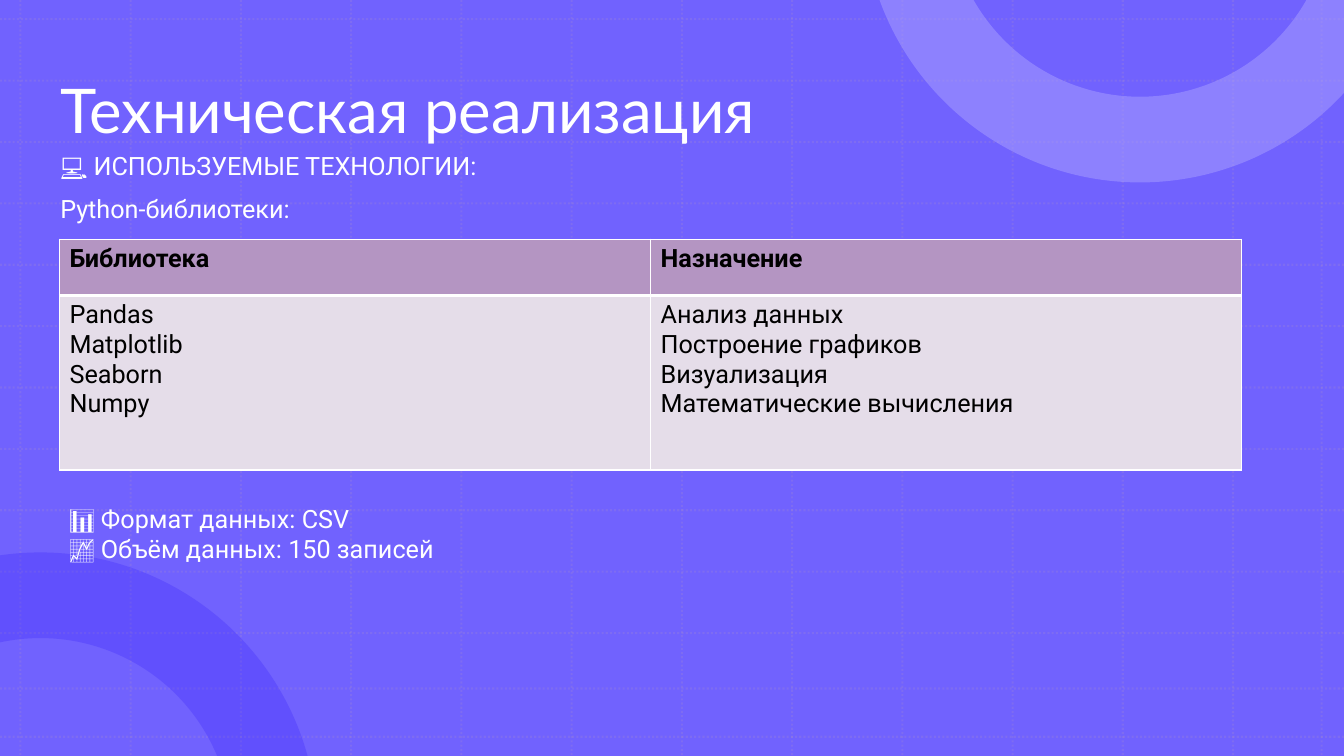
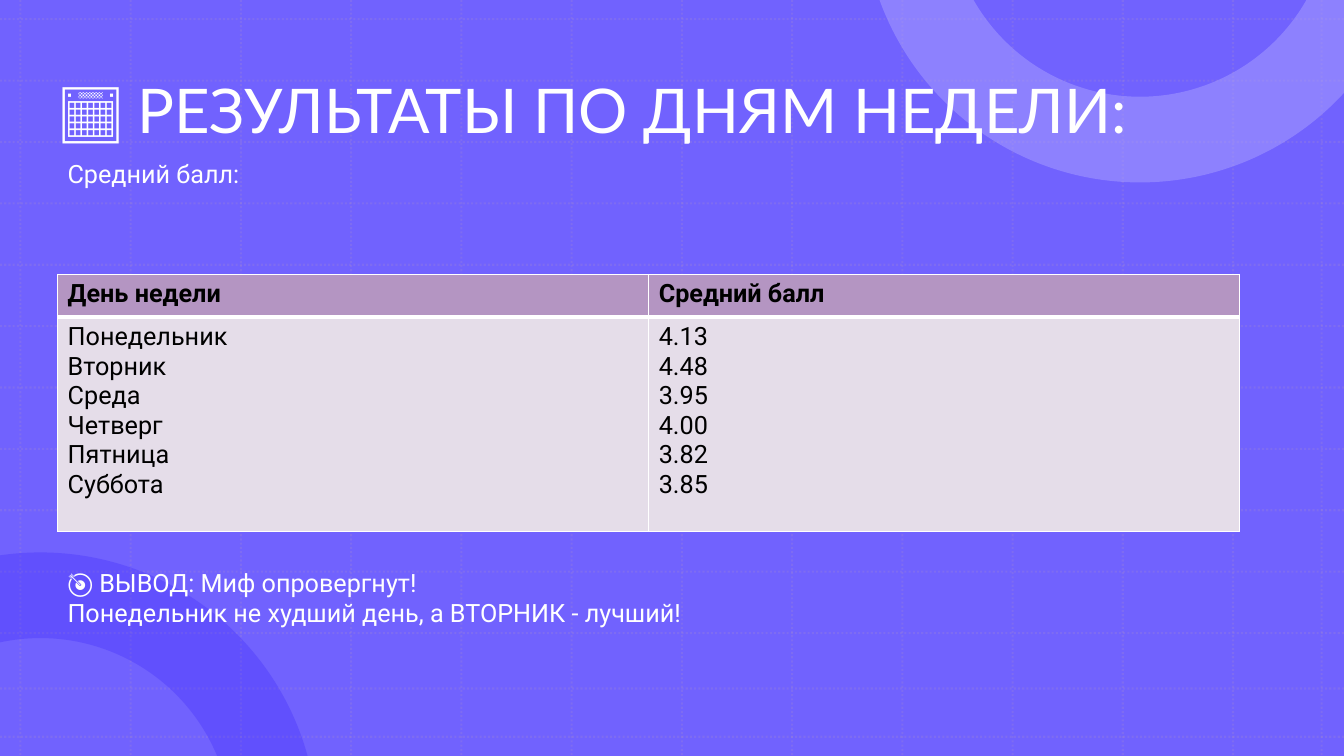
from dataclasses import dataclass
from math import cos, radians, sin, tan

from lxml import etree
from pptx import Presentation
from pptx import slide as sld
from pptx.dml.color import RGBColor
from pptx.enum import dml, shapes, text
from pptx.oxml.ns import qn
from pptx.text import text as txt
from pptx.util import Pt

COLORS = {
    "background": "7162FE",
    "grid": "B495C2",
    "ring_dark": "220BFD",
    "ring_light": "AAA1FE",
    "header": "B495C2",
    "body": "E5DDE9",
    "light": "FFFFFF",
    "dark": "000000",
}
WIDTH, HEIGHT = 960, 540
TITLE_FONT, TEXT_FONT = "Lato", "Roboto"
TEXT_SIZE = 18
OUTER_RADIUS, INNER_RADIUS = 198, 136.8
COLUMN_WIDTH = 422.2

Point = tuple[float, float]
Sweep = tuple[float, float, float]


@dataclass(frozen=True)
class Ring:
    center: Point
    outer_arc: Sweep
    inner_arc: Sweep
    corners: tuple[Point, ...]
    color: str
    opacity: int


@dataclass(frozen=True)
class Note:
    left: float
    top: float
    width: float
    lines: tuple[str, ...]
    inset: float = 3.6


@dataclass(frozen=True)
class Grid:
    left: float
    top: float
    row_heights: tuple[float, float]
    headings: tuple[str, str]
    columns: tuple[tuple[str, ...], tuple[str, ...]]


@dataclass(frozen=True)
class Page:
    title: str
    grid: Grid
    notes: tuple[Note, ...]


RINGS = (
    Ring((28.8, 592.6), (-98.4, -90, -15.4), (-22.6, -90, -102.2), (),
         "ring_dark", 20),
    Ring((814.3, -67.7), (42.6, 90, 160), (150.3, 90, 29.7), ((WIDTH, 0),),
         "ring_light", 50),
)

PAGES = (
    Page(
        "Техническая реализация",
        Grid(
            42.5, 170.8, (40.3, 124.6),
            ("Библиотека", "Назначение"),
            (
                ("Pandas", "Matplotlib", "Seaborn", "Numpy"),
                ("Анализ данных", "Построение графиков", "Визуализация",
                 "Математические вычисления"),
            ),
        ),
        (
            Note(36, 103.8, 566, ("💻 ИСПОЛЬЗУЕМЫЕ ТЕХНОЛОГИИ:",)),
            Note(36, 134.3, 482, ("Python-библиотеки:",)),
            Note(42.5, 355.7, 482,
                 ("📊 Формат данных: CSV", "📈 Объём данных: 150 записей")),
        ),
    ),
    Page(
        "📅 РЕЗУЛЬТАТЫ ПО ДНЯМ НЕДЕЛИ:",
        Grid(
            41.2, 196, (30.6, 153),
            ("День недели", "Средний балл"),
            (
                ("Понедельник", "Вторник", "Среда", "Четверг", "Пятница", "Суббота"),
                ("4.13", "4.48", "3.95", "4.00", "3.82", "3.85"),
            ),
        ),
        (
            Note(41.2, 109.6, 482, ("Средний балл:",)),
            Note(41.2, 379.6, 482,
                 ("🎯 ВЫВОД: Миф опровергнут!",
                  "Понедельник не худший день, а ВТОРНИК - лучший!"), 25.4),
        ),
    ),
)


def rgb(name: str) -> RGBColor:
    return RGBColor.from_string(COLORS[name])


def set_opacity(element: etree._Element, percent: int) -> None:
    for color in element.iterfind(f"{qn('p:spPr')}//{qn('a:srgbClr')}"):
        etree.SubElement(color, qn("a:alpha"), val=str(percent * 1000))


def write_lines(frame: txt.TextFrame, lines: tuple[str, ...], color: str,
                bold: bool = False) -> None:
    frame.text = "\n".join(lines)
    for paragraph in frame.paragraphs:
        font = paragraph.font
        font.name, font.size, font.bold = TEXT_FONT, Pt(TEXT_SIZE), bold
        font.color.rgb = rgb(color)


def draw_background(slide: sld.Slide) -> None:
    backdrop = slide.shapes.add_shape(
        shapes.MSO_SHAPE.RECTANGLE, 0, 0, Pt(WIDTH), Pt(HEIGHT))
    backdrop.shadow.inherit = False
    backdrop.fill.solid()
    backdrop.fill.fore_color.rgb = rgb("background")
    backdrop.line.fill.background()


def draw_grid_line(slide: sld.Slide, x1: float, y1: float, x2: float, y2: float) -> None:
    rule = slide.shapes.add_connector(
        shapes.MSO_CONNECTOR.STRAIGHT, Pt(x1), Pt(y1), Pt(x2), Pt(y2))
    rule.line.color.rgb = rgb("grid")
    rule.line.width = Pt(1.5)
    rule.line.dash_style = dml.MSO_LINE.ROUND_DOT
    set_opacity(rule.element, 20)
    etree.SubElement(rule.element.spPr, qn("a:effectLst"))


def arc_points(center: Point, radius: float, sweep: Sweep) -> list[Point]:
    def at(angle: float, reach: float = 0) -> Point:
        c, s = cos(radians(angle)), sin(radians(angle))
        return (center[0] + radius * (c - reach * s), center[1] + radius * (s + reach * c))

    points = [at(sweep[0])]
    for start, end in zip(sweep, sweep[1:]):
        reach = 4 / 3 * tan(radians(end - start) / 4)
        points += [at(start, reach), at(end, -reach), at(end)]
    return points


def draw_ring(slide: sld.Slide, ring: Ring) -> None:
    outline = [
        (Pt(x), Pt(y))
        for x, y in (
            *arc_points(ring.center, OUTER_RADIUS, ring.outer_arc),
            *arc_points(ring.center, INNER_RADIUS, ring.inner_arc),
            *ring.corners,
        )
    ]
    builder = slide.shapes.build_freeform(*outline[0])
    builder.add_line_segments(outline[1:], close=True)
    band = builder.convert_to_shape()
    segments = list(band.element.iter(qn("a:lnTo")))
    for first in (0, 3, 7, 10):
        curve = etree.Element(qn("a:cubicBezTo"))
        segments[first].addprevious(curve)
        for segment in segments[first:first + 3]:
            curve.append(segment[0])
            segment.getparent().remove(segment)
    band.shadow.inherit = False
    band.fill.solid()
    band.fill.fore_color.rgb = rgb(ring.color)
    band.line.fill.background()
    set_opacity(band.element, ring.opacity)


def decorate_layout(layout: sld.SlideLayout, slide: sld.Slide) -> None:
    for placeholder in list(layout.placeholders):
        if placeholder.placeholder_format.idx != 0:
            layout.shapes.element.remove(placeholder.element)
    draw_background(slide)
    for x in (*(14.6 + 78.74 * i for i in range(12)), 944):
        draw_grid_line(slide, x, 0, x, HEIGHT)
    for y in (*(13.7 + 43.85 * i for i in range(11)), 491.8, 526.3):
        draw_grid_line(slide, 0, y, WIDTH, y)
    for ring in RINGS:
        draw_ring(slide, ring)
    decorations = [s for s in slide.shapes if not s.is_placeholder]
    for i, decoration in enumerate(decorations):
        decoration.element.find(f".//{qn('p:cNvPr')}").set("id", str(100 + i))
        layout.shapes.element.insert(2 + i, decoration.element)

    title = layout.placeholders.get(idx=0)
    title.left, title.top, title.width, title.height = Pt(36), Pt(28.8), Pt(844.6), Pt(104.4)
    title.text_frame.vertical_anchor = text.MSO_ANCHOR.MIDDLE
    title.text_frame.auto_size = text.MSO_AUTO_SIZE.NONE


def write_title(slide: sld.Slide, wording: str) -> None:
    slide.shapes.title.text_frame.text = wording
    paragraph = slide.shapes.title.text_frame.paragraphs[0]
    paragraph.alignment = text.PP_ALIGN.LEFT
    paragraph.line_spacing = 0.9
    paragraph.font.name, paragraph.font.size = TITLE_FONT, Pt(44)
    paragraph.font.color.rgb = rgb("light")


def draw_note(slide: sld.Slide, note: Note) -> None:
    height = note.inset + 3.6 + 21.8 * len(note.lines)
    frame = slide.shapes.add_textbox(
        Pt(note.left), Pt(note.top), Pt(note.width), Pt(height)).text_frame
    frame.margin_top = Pt(note.inset)
    frame.word_wrap = True
    frame.auto_size = text.MSO_AUTO_SIZE.SHAPE_TO_FIT_TEXT
    write_lines(frame, note.lines, "light")


def draw_table(slide: sld.Slide, grid: Grid) -> None:
    table = slide.shapes.add_table(
        2, 2, Pt(grid.left), Pt(grid.top),
        Pt(2 * COLUMN_WIDTH), Pt(sum(grid.row_heights))).table
    table.horz_banding = False
    for column in table.columns:
        column.width = Pt(COLUMN_WIDTH)
    for row, height in zip(table.rows, grid.row_heights):
        row.height = Pt(height)
    for c, (heading, entries) in enumerate(zip(grid.headings, grid.columns)):
        for r, lines in enumerate(((heading,), entries)):
            is_header = r == 0
            cell = table.cell(r, c)
            write_lines(cell.text_frame, lines, "dark", bold=is_header)
            properties = cell._tc.get_or_add_tcPr()
            heavy_side = "lnB" if is_header else "lnT"
            for side in ("lnL", "lnR", "lnT", "lnB"):
                width = Pt(3 if side == heavy_side else 1)
                border = etree.SubElement(properties, qn(f"a:{side}"), w=str(width))
                fill = etree.SubElement(border, qn("a:solidFill"))
                etree.SubElement(fill, qn("a:srgbClr"), val=COLORS["light"])
            cell.fill.solid()
            cell.fill.fore_color.rgb = rgb("header" if is_header else "body")


def main() -> None:
    deck = Presentation()
    deck.slide_width, deck.slide_height = Pt(WIDTH), Pt(HEIGHT)
    layout = deck.slide_layouts.get_by_name("Title Only")
    for number, page in enumerate(PAGES):
        slide = deck.slides.add_slide(layout)
        if number == 0:
            decorate_layout(layout, slide)
        write_title(slide, page.title)
        draw_table(slide, page.grid)
        for note in page.notes:
            draw_note(slide, note)
    deck.save("out.pptx")


if __name__ == "__main__":
    main()
